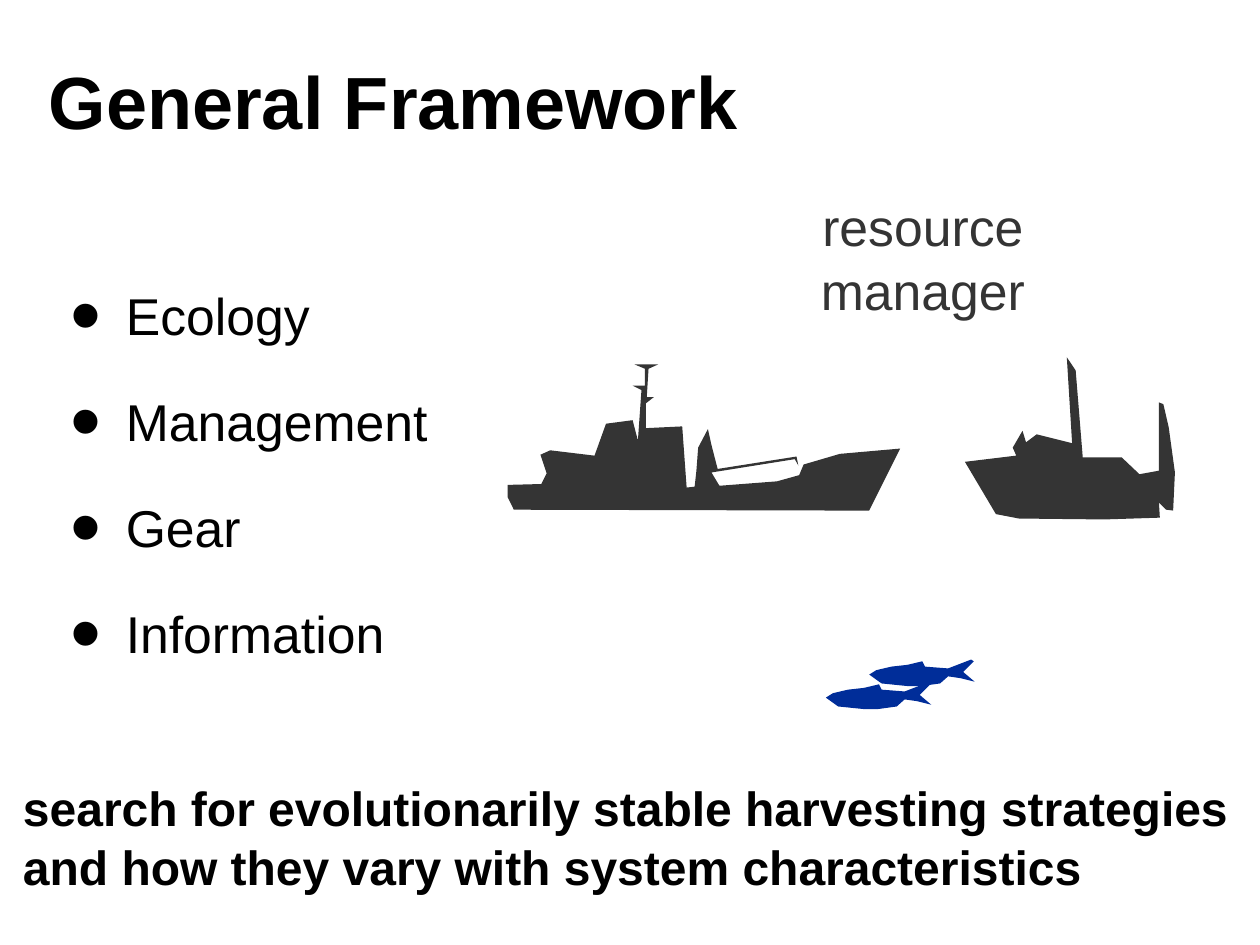
from dataclasses import dataclass

from lxml.etree import SubElement
from pptx import Presentation
from pptx.dml.color import RGBColor
from pptx.enum.text import MSO_ANCHOR, PP_ALIGN
from pptx.oxml.ns import qn
from pptx.slide import Slide
from pptx.text.text import _Paragraph as Paragraph
from pptx.util import Inches, Pt

BLACK = RGBColor(0x00, 0x00, 0x00)
CHARCOAL = RGBColor(0x34, 0x34, 0x34)
FISH_BLUE = RGBColor(0x00, 0x2D, 0x99)
FONT = "Arial"

Points = list[tuple[int, int]]

# Outline points are in hundredths of an inch on the slide.
TRAWLER: Points = [
    (1089, 521), (1124, 580), (1150, 585), (1246, 586), (1309, 584), (1308, 567),
    (1316, 575), (1324, 576), (1326, 533), (1319, 482), (1313, 456), (1308, 454),
    (1308, 531), (1286, 535), (1266, 516), (1222, 516), (1214, 418), (1204, 403),
    (1210, 500), (1170, 490), (1158, 499), (1154, 486), (1143, 505), (1147, 514),
]
RESEARCH_SHIP: Points = [
    (573, 547), (573, 561), (580, 575), (981, 576), (1016, 506), (948, 512),
    (907, 524), (902, 536), (877, 543), (812, 548), (803, 533), (897, 518),
    (901, 525), (899, 515), (810, 529), (803, 502), (799, 484), (788, 505),
    (786, 531), (784, 549), (775, 550), (770, 481), (729, 483), (729, 455),
    (738, 448), (730, 448), (732, 416), (743, 411), (716, 411), (728, 416),
    (728, 435), (714, 435), (724, 440), (720, 497), (714, 474), (684, 478),
    (671, 514), (621, 508), (610, 513), (617, 534), (611, 546),
]
FISH: Points = [
    (981, 761), (995, 771), (1025, 774), (1039, 774), (1061, 771), (1070, 763),
    (1084, 765), (1100, 769), (1087, 758), (1099, 746), (1096, 744), (1070, 754),
    (1044, 752), (1041, 746), (1024, 750), (1006, 752), (989, 756),
]


@dataclass(frozen=True)
class Silhouette:
    outline: Points
    color: RGBColor
    shift_x: int = 0
    shift_y: int = 0


@dataclass(frozen=True)
class TextBlock:
    left: float
    top: float
    width: float
    height: float
    lines: tuple[str, ...]
    size: int
    color: RGBColor = BLACK
    bold: bool = False
    bulleted: bool = False
    wrap: bool = True
    inset: float = 0
    anchor: MSO_ANCHOR = MSO_ANCHOR.MIDDLE
    alignment: PP_ALIGN = PP_ALIGN.LEFT


SILHOUETTES = (
    Silhouette(TRAWLER, CHARCOAL),
    Silhouette(RESEARCH_SHIP, CHARCOAL),
    Silhouette(FISH, FISH_BLUE),
    Silhouette(FISH, FISH_BLUE, shift_x=-49, shift_y=26),
)
TEXT_BLOCKS = (
    TextBlock(0.49, 0.54, 11.44, 1.1, ("General Framework",), 60, bold=True,
              inset=0.06, anchor=MSO_ANCHOR.TOP),
    TextBlock(0.44, 2.21, 4.99, 6.25, ("Ecology", "Management", "Gear", "Information"),
              42, bulleted=True, inset=0.06),
    TextBlock(8.05, 2.55, 4.73, 0.7, ("resource manager",), 42, CHARCOAL,
              wrap=False, alignment=PP_ALIGN.CENTER),
    TextBlock(0.26, 8.73, 13.86, 1.4,
              ("search for evolutionarily stable harvesting strategies "
               "and how they vary with system characteristics",), 39, bold=True),
)


def draw_silhouette(slide: Slide, silhouette: Silhouette) -> None:
    start, *rest = [(x + silhouette.shift_x, y + silhouette.shift_y)
                    for x, y in silhouette.outline]
    builder = slide.shapes.build_freeform(*start, scale=Inches(0.01))
    builder.add_line_segments(rest, close=True)
    shape = builder.convert_to_shape()
    shape.shadow.inherit = False
    shape.fill.solid()
    shape.fill.fore_color.rgb = silhouette.color
    shape.line.fill.background()


def add_bullet(paragraph: Paragraph) -> None:
    properties = paragraph._p.get_or_add_pPr()
    properties.set("marL", str(Inches(0.92)))
    properties.set("indent", str(Inches(-0.62)))
    color = SubElement(properties, qn("a:buClr"))
    SubElement(color, qn("a:srgbClr"), val=str(BLACK))
    SubElement(properties, qn("a:buSzPct"), val="171000")
    SubElement(properties, qn("a:buFont"), typeface=FONT)
    SubElement(properties, qn("a:buChar"), char="•")


def draw_text(slide: Slide, block: TextBlock) -> None:
    box = slide.shapes.add_textbox(Inches(block.left), Inches(block.top),
                                   Inches(block.width), Inches(block.height))
    frame = box.text_frame
    frame.word_wrap = block.wrap
    frame.vertical_anchor = block.anchor
    frame.margin_left = frame.margin_right = Inches(block.inset)
    frame.margin_top = frame.margin_bottom = Inches(block.inset)
    for index, line in enumerate(block.lines):
        paragraph = frame.add_paragraph() if index else frame.paragraphs[0]
        paragraph.alignment = block.alignment
        paragraph.line_spacing = 1.03
        if index:
            paragraph.space_before = Pt(34)
        if block.bulleted:
            add_bullet(paragraph)
        run = paragraph.add_run()
        run.text = line
        run.font.name = FONT
        run.font.size = Pt(block.size)
        run.font.bold = block.bold
        run.font.color.rgb = block.color


def main() -> None:
    presentation = Presentation()
    presentation.slide_width = Inches(14.22)
    presentation.slide_height = Inches(10.66)
    slide = presentation.slides.add_slide(presentation.slide_layouts[6])
    for silhouette in SILHOUETTES:
        draw_silhouette(slide, silhouette)
    for block in TEXT_BLOCKS:
        draw_text(slide, block)
    presentation.save("out.pptx")


if __name__ == "__main__":
    main()
